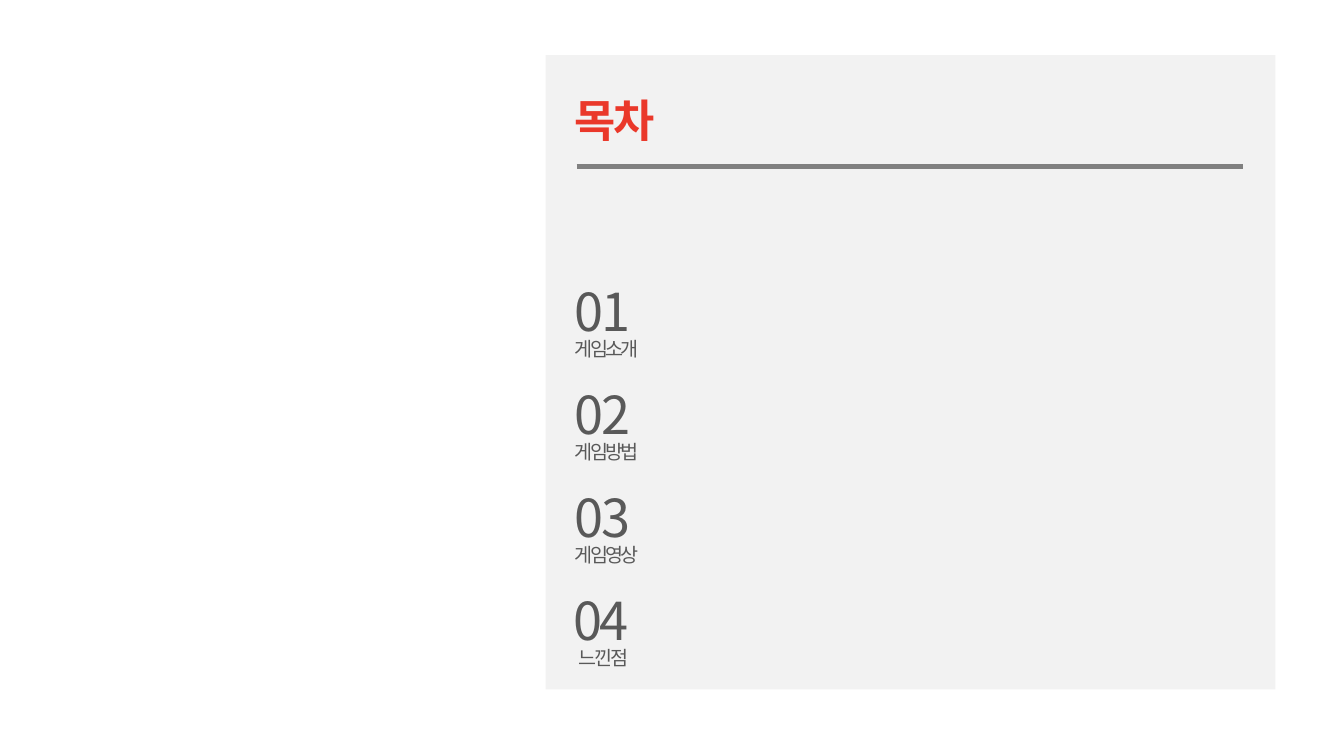
import pptx
import pptx.util
import pptx.dml.color
import pptx.enum.shapes
import pptx.enum.text
import pptx.oxml
import pptx.oxml.ns
from pptx.util import Inches

TITLE = "목차"
# number, its left edge, topic, its left edge
CHAPTERS = [
    ("01", 4.18, "게임소개", 4.18),
    ("02", 4.18, "게임방법", 4.18),
    ("03", 4.18, "게임영상", 4.18),
    ("04", 4.17, "느낀 점", 4.21),
]
FIRST_TOP, LAST_TOP, TOPIC_DROP = 2.03, 4.33, 0.43
PITCH = (LAST_TOP - FIRST_TOP) / (len(CHAPTERS) - 1)

FONT = "Noto Sans CJK KR"
COLORS = {
    "panel": "F2F2F2",
    "title": "EA382A",
    "rule": "808080",
    "body": "595959",
}


def color(key):
    return pptx.dml.color.RGBColor.from_string(COLORS[key])


def add_text(slide, text, box, size, color_key, bold=False):
    """Add one tightly tracked line of text."""
    label = slide.shapes.add_textbox(*map(Inches, box))
    frame = label.text_frame
    frame.word_wrap = True
    frame.auto_size = pptx.enum.text.MSO_AUTO_SIZE.SHAPE_TO_FIT_TEXT
    run = frame.paragraphs[0].add_run()
    run.text = text
    font = run.font
    font.name = FONT
    font.size = pptx.util.Pt(size)
    font.bold = bold
    font.color.rgb = color(color_key)
    properties = run._r.get_or_add_rPr()
    properties.set("spc", "-150")
    east_asian = pptx.oxml.parse_xml(
        f'<a:ea {pptx.oxml.ns.nsdecls("a")} typeface="{FONT}"/>')
    properties.find(pptx.oxml.ns.qn("a:latin")).addnext(east_asian)


def main():
    deck = pptx.Presentation()
    deck.slide_width = Inches(10)
    deck.slide_height = deck.slide_width * 9 // 16
    slide = deck.slides.add_slide(deck.slide_layouts[6])

    panel = slide.shapes.add_shape(
        pptx.enum.shapes.MSO_SHAPE.RECTANGLE,
        Inches(4.06), Inches(0.41), Inches(5.43), Inches(4.72))
    panel.shadow.inherit = False
    panel.fill.solid()
    panel.fill.fore_color.rgb = color("panel")
    panel.line.fill.background()

    add_text(slide, TITLE, (4.18, 0.64, 3.07, 0.5), 24, "title", bold=True)

    rule = slide.shapes.add_connector(
        pptx.enum.shapes.MSO_CONNECTOR.STRAIGHT,
        Inches(4.29), Inches(1.24), Inches(9.25), Inches(1.24))
    rule.line.color.rgb = color("rule")
    rule.line.width = pptx.util.Pt(3)
    rule._element.spPr.append(
        pptx.oxml.parse_xml(f'<a:effectLst {pptx.oxml.ns.nsdecls("a")}/>'))

    for index, (number, number_left, topic, topic_left) in enumerate(CHAPTERS):
        top = FIRST_TOP + index * PITCH
        add_text(slide, topic, (topic_left, top + TOPIC_DROP, 3.04, 0.28),
                 10.5, "body")
        add_text(slide, number, (number_left, top, 1.26, 0.57), 28, "body")

    deck.save("out.pptx")


if __name__ == "__main__":
    main()
